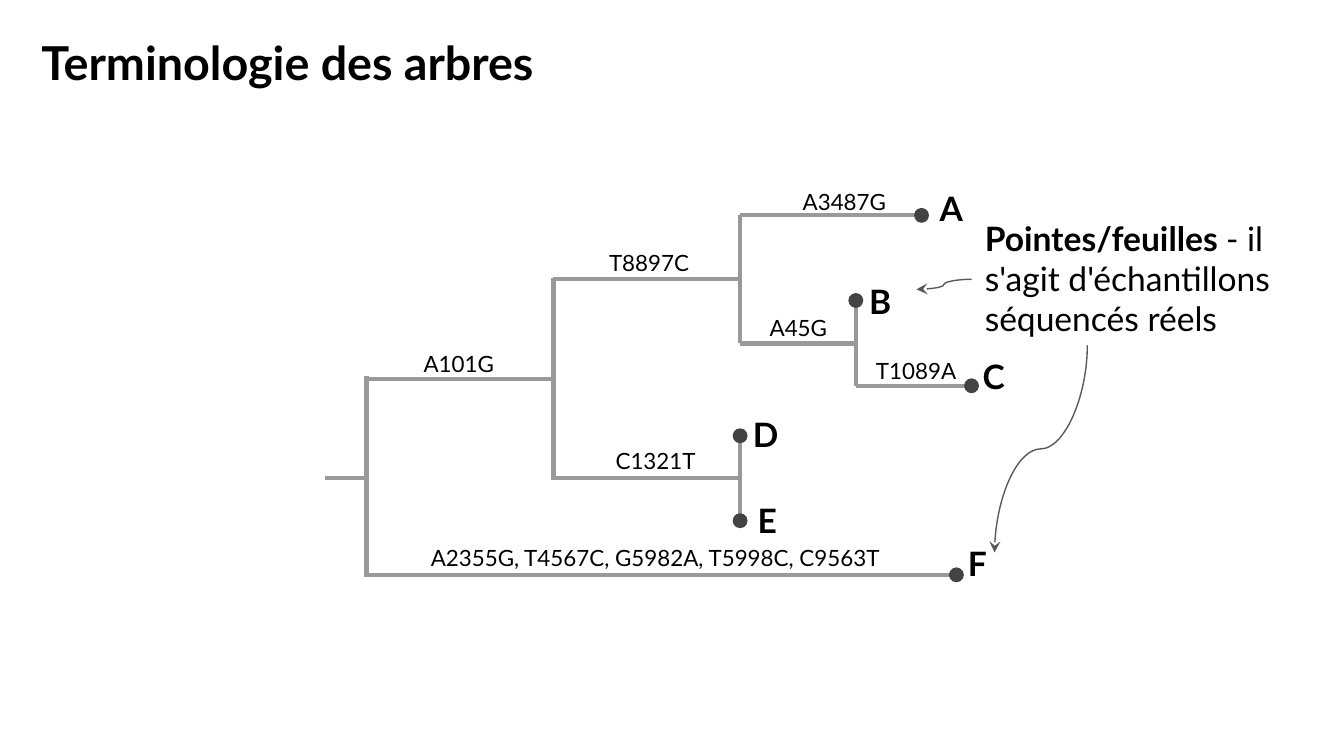
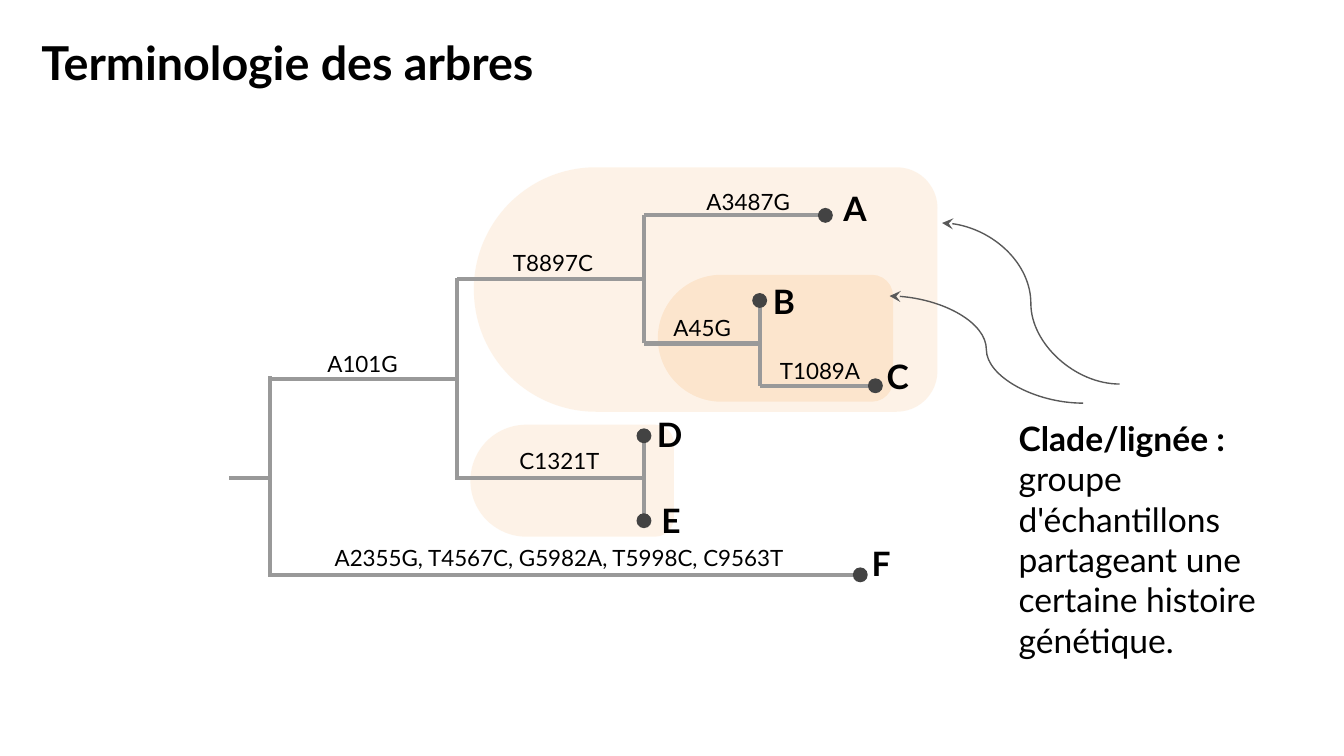
from lxml import etree
from pptx import Presentation
from pptx.dml.color import RGBColor
from pptx.enum.shapes import MSO_CONNECTOR, MSO_SHAPE
from pptx.enum.text import MSO_ANCHOR, MSO_AUTO_SIZE, PP_ALIGN
from pptx.oxml.ns import qn
from pptx.util import Pt

STRAIGHT, CURVE = MSO_CONNECTOR.STRAIGHT, MSO_CONNECTOR.CURVE
ELLIPSE, ROUND_TOP = MSO_SHAPE.OVAL, MSO_SHAPE.ROUND_2_SAME_RECTANGLE
TOP, LEFT = MSO_ANCHOR.TOP, PP_ALIGN.LEFT
FIT_SHAPE, NO_FIT = MSO_AUTO_SIZE.SHAPE_TO_FIT_TEXT, MSO_AUTO_SIZE.NONE

FONT = "Lato"
BLACK, BRANCH, TIP, ARROW, CLADE = "000000", "999999", "434343", "595959", "FCE5CD"
TIP_SIZE = 8
TREE_SHIFT = -51.5

# Columns of the tree, from the root to the outermost tips
STEM, ROOT, SPLIT, FORK, PAIR, END = 174.2, 196.3, 296.5, 396.5, 458.5, 520.5

# x1, y1, x2, y2
BRANCHES = [
    (ROOT, 203, SPLIT, 203),
    (ROOT, 308, 511.5, 308),
    (ROOT, 309, ROOT, 201.5),
    (SPLIT, 257, SPLIT, 149),
    (SPLIT, 256.3, FORK, 256.3),
    (FORK, 278, FORK, 232.5),
    (SPLIT, 149.6, FORK, 149.6),
    (FORK, 184, FORK, 115),
    (FORK, 184, PAIR, 184),
    (PAIR, 206.7, PAIR, 161),
    (PAIR, 206.7, END, 206.7),
    (FORK, 115.3, 496.3, 115.3),
    (STEM, 256.3, ROOT, 256.3),
]

# text, left, top, width
MUTATIONS = [
    ("C1321T", 322.7, 232.5, 62),
    ("T8897C", 319.2, 126.5, 62),
    ("A101G", 219.8, 180.5, 62),
    ("A2355G, T4567C, G5982A, T5998C, C9563T", 223.7, 284.3, 260),
    ("A3487G", 422.9, 93.6, 70.5),
    ("A45G", 405.2, 161.3, 62),
    ("T1089A", 462.2, 184.3, 70.5),
]

# name, centre x, centre y, label left, label top
TIPS = [
    ("A", 493.7, 115.4, 496.3, 93.6),
    ("B", PAIR, 161, 458.5, 143.3),
    ("C", END, 206.7, 519.4, 183.6),
    ("D", FORK, 233.5, 396.3, 214.6),
    ("E", FORK, 279, 398.8, 260.6),
    ("F", 512.4, 308, 511.4, 283.7),
]

# left, top, width, height, opacity in percent
CLADES = [
    (352.4, 147.2, 126, 68, 100),
    (252, 227.5, 109, 60, 47),
    (253.8, 89.6, 248.4, 131, 47),
]


def color(value):
    return RGBColor.from_string(value)


def write(shape, text, *, more="", size=12, bold=False, fit=NO_FIT):
    """Set the text; `more` follows in regular weight."""
    frame = shape.text_frame
    frame.word_wrap = True
    frame.auto_size = fit
    frame.vertical_anchor = TOP
    frame.margin_left = frame.margin_right = Pt(7.2)
    frame.margin_top = frame.margin_bottom = Pt(7.2)
    paragraph = frame.paragraphs[0]
    paragraph.alignment = LEFT
    for part, weight in ((text, bold), (more, False)):
        if part:
            run = paragraph.add_run()
            run.text = part
            run.font.name = FONT
            run.font.size = Pt(size)
            run.font.bold = weight
            run.font.color.rgb = color(BLACK)


class TreeDeck:
    def __init__(self):
        self.presentation = Presentation()
        self.presentation.slide_width = Pt(720)
        self.presentation.slide_height = Pt(405)
        self.slide = None

    def add_slide(self, title):
        layout = self.presentation.slide_layouts[6]
        self.slide = self.presentation.slides.add_slide(layout)
        self.text(title, 15.1, 10.8, 690.5, 54.7, size=25, bold=True)

    def text(self, text, left, top, width, height, **style):
        box = self.slide.shapes.add_textbox(Pt(left), Pt(top), Pt(width), Pt(height))
        write(box, text, **style)

    def note(self, term, definition, left, top, width, height):
        self.text(term, left, top, width, height, more=definition,
                  size=18, bold=True, fit=FIT_SHAPE)

    def shape(self, kind, left, top, width, height, fill):
        shape = self.slide.shapes.add_shape(
            kind, Pt(left), Pt(top), Pt(width), Pt(height))
        shape.shadow.inherit = False
        shape.fill.solid()
        shape.fill.fore_color.rgb = color(fill)
        shape.line.fill.background()
        return shape

    def clade(self, left, top, width, height, opacity):
        """Area with a round left end, given by its frame as seen after the turn."""
        inset = (width - height) / 2
        shape = self.shape(ROUND_TOP, left + inset, top - inset, height, width, CLADE)
        shape.rotation = 90
        shape.adjustments[0] = 0.167
        shape.adjustments[1] = 0.5
        if opacity < 100:
            fill = shape._element.spPr.find(qn("a:solidFill"))
            alpha = etree.SubElement(fill[0], qn("a:alpha"))
            alpha.set("val", str(opacity * 1000))

    def line(self, kind, x1, y1, x2, y2, stroke, width):
        connector = self.slide.shapes.add_connector(
            kind, Pt(x1), Pt(y1), Pt(x2), Pt(y2))
        connector.line.color.rgb = color(stroke)
        connector.line.width = Pt(width)
        etree.SubElement(connector._element.spPr, qn("a:effectLst"))
        return connector

    def arrow(self, x1, y1, x2, y2, vertical=False):
        """Curved arrow; a vertical one leaves and arrives vertically."""
        if vertical:
            center_x, center_y = (x1 + x2) / 2, (y1 + y2) / 2
            half_x, half_y = (x2 - x1) / 2, (y2 - y1) / 2
            x1, y1 = center_x - half_y, center_y + half_x
            x2, y2 = center_x + half_y, center_y - half_x
        connector = self.line(CURVE, x1, y1, x2, y2, ARROW, 0.75)
        properties = connector._element.spPr
        if vertical:
            properties.find(qn("a:xfrm")).set("rot", "5400000")
        head = etree.SubElement(properties.find(qn("a:ln")), qn("a:tailEnd"))
        head.set("type", "stealth")

    def tree(self, shift=0):
        for x1, y1, x2, y2 in BRANCHES:
            self.line(STRAIGHT, x1 + shift, y1, x2 + shift, y2, BRANCH, 2.25)
        for mutation, left, top, width in MUTATIONS:
            self.text(mutation, left + shift, top, width, 22.3)
        for name, x, y, left, top in TIPS:
            self.shape(ELLIPSE, x + shift - TIP_SIZE / 2, y - TIP_SIZE / 2,
                       TIP_SIZE, TIP_SIZE, TIP)
            self.text(name, left + shift, top, 33, 24, size=18, bold=True)


def main():
    deck = TreeDeck()
    title = "Terminologie des arbres"

    deck.add_slide(title)
    deck.note("Pointes/feuilles ", "- il s'agit d'échantillons séquencés réels",
              520.5, 109.4, 199.5, 80)
    deck.arrow(582.5, 185, 532.8, 296, vertical=True)
    deck.arrow(520.5, 149.6, 491, 155)
    deck.tree()

    deck.add_slide(title)
    for area in CLADES:
        deck.clade(*area)
    deck.note("Clade/lignée : ",
              "groupe d'échantillons partageant une certaine histoire génétique.",
              538.6, 216.7, 178, 145.5)
    deck.tree(TREE_SHIFT)
    deck.arrow(599.8, 205.8, 504.7, 119.5)
    deck.arrow(580.3, 216, 476.6, 158.6)

    deck.presentation.save("out.pptx")


if __name__ == "__main__":
    main()
